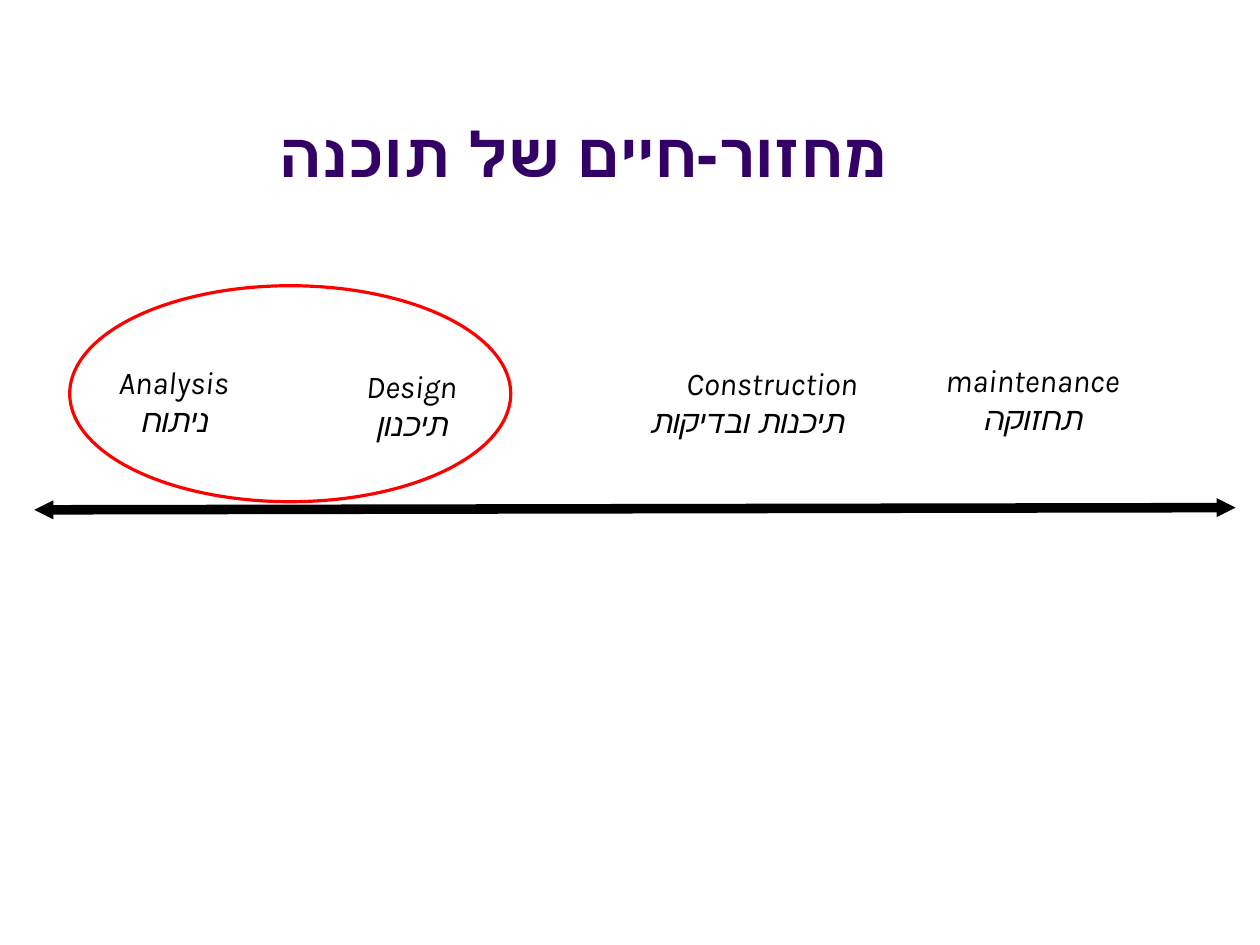
from lxml.etree import SubElement
from pptx import Presentation
from pptx.dml.color import RGBColor
from pptx.enum.shapes import MSO_CONNECTOR as CONN, MSO_SHAPE as SHAPE
from pptx.enum.text import MSO_ANCHOR as ANCHOR, MSO_AUTO_SIZE as AUTO, PP_ALIGN as ALIGN
from pptx.oxml.ns import qn
from pptx.util import Cm, Pt

TITLE = "מחזור-חיים של תוכנה"
PHASES = [
    # left, top, width, wrap, right-to-left, paragraphs
    (2.31, 7.92, 3.1, False, False, [("Analysis\vניתוח", ALIGN.CENTER)]),
    (7.8, 8.0, 2.69, False, False, [("Design", ALIGN.CENTER), ("תיכנון", ALIGN.CENTER)]),
    (20.73, 7.87, 4.67, False, False, [("maintenance", ALIGN.LEFT), ("תחזוקה", ALIGN.CENTER)]),
    (13.87, 7.95, 5.44, True, True, [("Construction", ALIGN.RIGHT), ("תיכנות ובדיקות", ALIGN.CENTER)]),
]
PHASE_HEIGHT = 1.98
TIMELINE = (0.76, 11.33, 27.46, 11.28)
FOCUS = (1.55, 6.35, 9.8, 4.8)


def rgb(value):
    return RGBColor.from_string(value)


def cms(values):
    return [Cm(v) for v in values]


def set_insets(tf, side, edge):
    tf.margin_left = tf.margin_right = Cm(side)
    tf.margin_top = tf.margin_bottom = Cm(edge)


def style(p, font, size, color, bold=False, italic=False):
    for r in p.runs:
        f = r.font
        f.name, f.size, f.bold, f.italic = font, Pt(size), bold, italic
        f.color.rgb = rgb(color)


def add_title(s):
    title = s.shapes.title
    title.left, title.top, title.width, title.height = cms((1.4, 0.38, 23.11, 3.96))
    tf = title.text_frame
    tf.text = TITLE
    tf.vertical_anchor = ANCHOR.BOTTOM
    set_insets(tf, 0.25, 0.13)
    p = tf.paragraphs[0]
    p.alignment = ALIGN.CENTER
    style(p, "Arial", 39, "330066", bold=True)


def add_timeline(s):
    line = s.shapes.add_connector(CONN.STRAIGHT, *cms(TIMELINE))
    line.line.color.rgb = rgb("000000")
    line.line.width = Pt(6)
    ln = line.line._get_or_add_ln()
    for end in ("a:headEnd", "a:tailEnd"):
        SubElement(ln, qn(end), type="triangle", w="sm", len="sm")
    SubElement(line._element.spPr, qn("a:effectLst"))


def add_phase(s, left, top, width, wrap, rtl, lines):
    tf = s.shapes.add_textbox(*cms((left, top, width, PHASE_HEIGHT))).text_frame
    tf.word_wrap = wrap
    tf.auto_size = AUTO.SHAPE_TO_FIT_TEXT
    set_insets(tf, *((0.25, 0.13) if wrap else (0.28, 0.15)))
    for i, (text, align) in enumerate(lines):
        p = tf.add_paragraph() if i else tf.paragraphs[0]
        p.text = text
        p.alignment = align
        if rtl:
            p._p.get_or_add_pPr().set("rtl", "1")
        style(p, "Karla", 20, "000000", italic=True)


def add_focus(s):
    oval = s.shapes.add_shape(SHAPE.OVAL, *cms(FOCUS))
    oval.shadow.inherit = False
    oval.fill.background()
    oval.line.color.rgb = rgb("FF0000")
    oval.line.width = Pt(2)


def main():
    prs = Presentation()
    prs.slide_width, prs.slide_height = Cm(28), Cm(21)
    s = prs.slides.add_slide(prs.slide_layouts[5])
    add_title(s)
    add_timeline(s)
    for phase in PHASES:
        add_phase(s, *phase)
    add_focus(s)
    prs.save("out.pptx")


if __name__ == "__main__":
    main()
